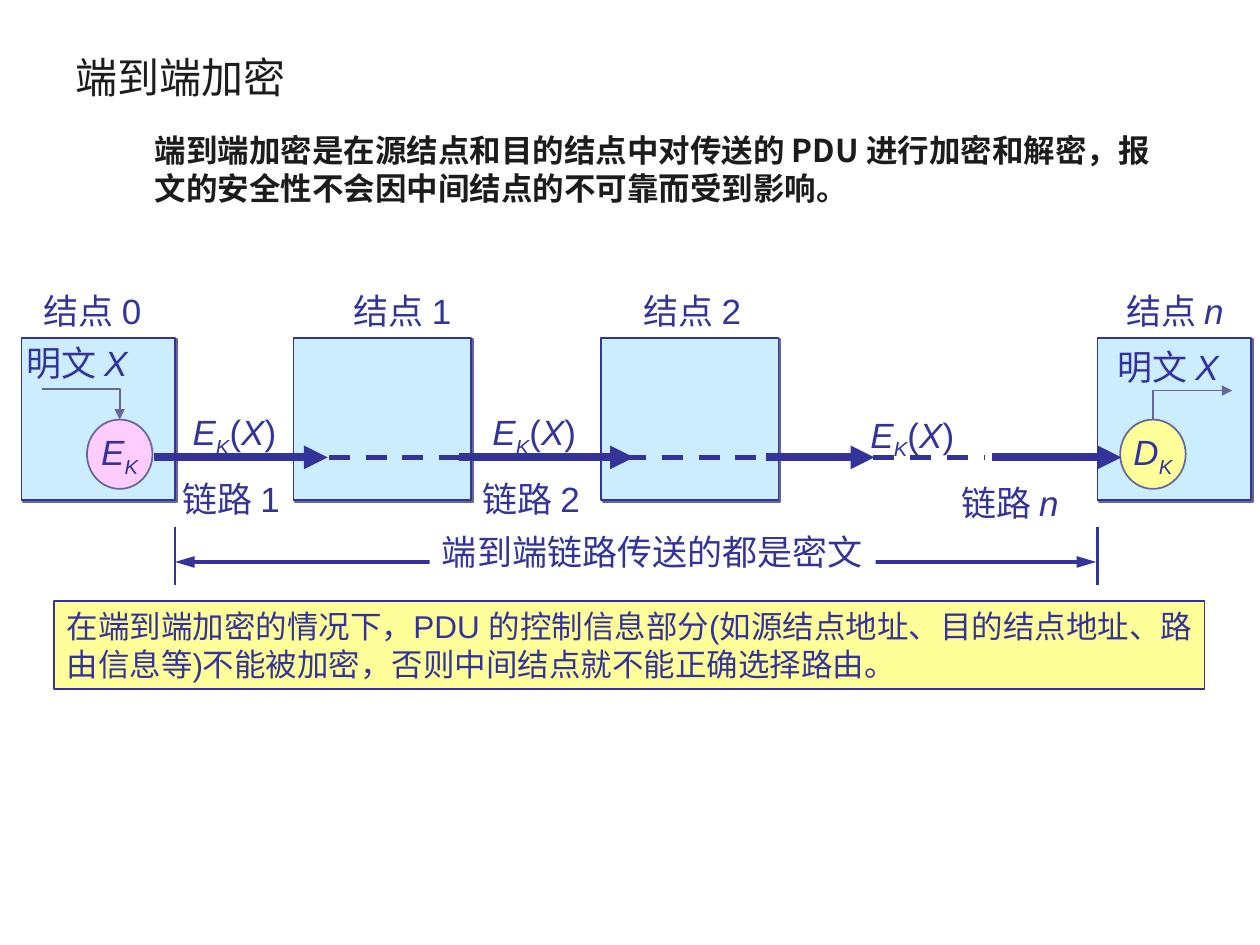
from lxml import etree
from pptx import Presentation
from pptx import util as u
from pptx.dml.color import RGBColor
from pptx.enum import dml, shapes, text
from pptx.oxml import ns

NAVY = RGBColor(0x33, 0x33, 0x99)
SLATE = RGBColor(0x66, 0x66, 0x99)
INK = RGBColor(0x1C, 0x1C, 0x1C)
SKY = RGBColor(0xCC, 0xEC, 0xFF)
PINK = RGBColor(0xFF, 0xCC, 0xFF)
YELLOW = RGBColor(0xFF, 0xFF, 0x99)
WHITE = RGBColor(0xFF, 0xFF, 0xFF)
CJK = "Noto Sans CJK SC"
LATIN = "Arial"
LEFT = text.PP_ALIGN.LEFT
CENTER = text.PP_ALIGN.CENTER
JUSTIFY = text.PP_ALIGN.JUSTIFY
TOP = text.MSO_ANCHOR.TOP
MIDDLE = text.MSO_ANCHOR.MIDDLE
RECT = shapes.MSO_SHAPE.RECTANGLE
OVAL = shapes.MSO_SHAPE.OVAL


def child(parent, tag, **attrs):
    return etree.SubElement(parent, ns.qn(tag), attrs)


class Sketch:
    def __init__(self, slide):
        self.s = slide

    def set_text(self, sp, paragraphs, size=20, font=LATIN, color=NAVY, bold=False,
                 align=LEFT, anchor=TOP, margins=(0.1, 0.05, 0.1, 0.05), spacing=None,
                 indents=(0,)):
        tf = sp.text_frame
        tf.word_wrap = True
        tf.vertical_anchor = anchor
        tf.margin_left, tf.margin_top, tf.margin_right, tf.margin_bottom = map(u.Inches, margins)
        for i, (runs, indent) in enumerate(zip(paragraphs, indents)):
            p = tf.paragraphs[0] if i == 0 else tf.add_paragraph()
            p.alignment = align
            if spacing:
                p.line_spacing = spacing
            if indent:
                p._p.get_or_add_pPr().set("marL", str(u.Inches(indent)))
            for content, style in runs:
                r = p.add_run()
                r.text = content
                f = r.font
                f.size, f.name, f.bold = u.Pt(size), font, bold
                f.italic = style in ("italic", "sub")
                f.color.rgb = color
                rpr = r._r.get_or_add_rPr()
                child(rpr, "a:ea", typeface=CJK)
                if style == "sub":
                    rpr.set("baseline", "-25000")

    def label(self, x, y, w, h, paragraphs, **style):
        sp = self.s.shapes.add_textbox(*map(u.Inches, (x, y, w, h)))
        self.set_text(sp, paragraphs, **style)

    def shape(self, kind, x, y, w, h, fill, line=None, width=1, shadow=False):
        sp = self.s.shapes.add_shape(kind, *map(u.Inches, (x, y, w, h)))
        sp.shadow.inherit = False
        sp.fill.solid()
        sp.fill.fore_color.rgb = fill
        if line is None:
            sp.line.fill.background()
        else:
            sp.line.color.rgb = line
            sp.line.width = u.Pt(width)
        if shadow:
            effects = sp._element.spPr.find(ns.qn("a:effectLst"))
            cast = child(effects, "a:outerShdw", dist=str(u.Pt(1.4)), dir="2700000",
                         algn="ctr", rotWithShape="0")
            child(cast, "a:srgbClr", val=str(SLATE))
        return sp

    def arrowhead(self, line, end, length="med"):
        child(line._get_or_add_ln(), f"a:{end}End", type="triangle", w="med", len=length)

    def line(self, x1, y1, x2, y2, width, ends=(), dash=False, length="med"):
        c = self.s.shapes.add_connector(shapes.MSO_CONNECTOR.STRAIGHT,
                                        *map(u.Inches, (x1, y1, x2, y2)))
        c.line.color.rgb = NAVY
        c.line.width = u.Pt(width)
        if dash:
            c.line.dash_style = dml.MSO_LINE.DASH
        for end in ends:
            self.arrowhead(c.line, end, length)
        child(c._element.spPr, "a:effectLst")

    def elbow(self, points):
        start, *rest = [tuple(map(u.Inches, pt)) for pt in points]
        fb = self.s.shapes.build_freeform(*start)
        fb.add_line_segments(rest, close=False)
        sp = fb.convert_to_shape()
        sp.shadow.inherit = False
        sp.fill.background()
        sp.line.color.rgb = SLATE
        sp.line.width = u.Pt(1)
        self.arrowhead(sp.line, "tail")


def plain(content):
    return [(content, "")]


def main():
    prs = Presentation()
    prs.slide_width, prs.slide_height = u.Inches(10), u.Inches(7.5)
    d = Sketch(prs.slides.add_slide(prs.slide_layouts[6]))

    d.label(0.5, 0.3, 9, 0.61, [plain("端到端加密")], size=24, font=CJK,
            color=INK, anchor=MIDDLE)
    d.label(0.75, 0.99, 8.5, 1.73,
            [plain("端到端加密是在源结点和目的结点中对传送的 PDU 进行加密和解密，"
                   "报文的安全性不会因中间结点的不可靠而受到影响。")],
            size=18, font=CJK, color=INK, bold=True, indents=(0.38,))

    nodes = [
        (0.17, 1.22, 0.25, plain("结点 0")),
        (2.33, 1.41, 2.71, plain("结点 1")),
        (4.77, 1.41, 5.01, plain("结点 2")),
        (8.71, 1.22, 8.84, [("结点 ", ""), ("n", "italic")]),
    ]
    tight = (0.1, 0.05, 0, 0.05)
    for x, w, label_x, name in nodes:
        d.shape(RECT, x, 2.68, w, 1.29, SKY, NAVY, shadow=True)
        d.label(label_x, 2.25, 1.04, 0.44, [name], margins=tight)

    endpoints = [
        (0.69, "E", PINK, 0.11, 2.66, [(0.33, 3.09), (0.95, 3.09), (0.95, 3.33)]),
        (8.89, "D", YELLOW, 8.77, 2.69, [(9.15, 3.33), (9.15, 3.1), (9.78, 3.1)]),
    ]
    for x, letter, fill, text_x, text_y, route in endpoints:
        sp = d.shape(OVAL, x, 3.33, 0.52, 0.55, fill, SLATE)
        d.set_text(sp, [[(letter, "italic"), ("K", "sub")]], align=CENTER,
                   anchor=MIDDLE, margins=(0, 0, 0, 0))
        d.elbow(route)
        d.label(text_x, text_y, 1.07, 0.44, [[("明文 ", ""), ("X", "italic")]], margins=tight)

    for x1, x2 in [(1.22, 2.6), (3.64, 5.03), (6.08, 6.94), (7.87, 8.9)]:
        d.line(x1, 3.63, x2, 3.63, 4.5, ends=("tail",))
    for x1, x2 in [(2.61, 3.86), (4.96, 6.2), (6.93, 7.82)]:
        d.line(x1, 3.63, x2, 3.63, 3, dash=True)

    cipher = [("E", "italic"), ("K", "sub"), ("(", ""), ("X", "italic"), (")", "")]
    links = [
        (1.35, 1.04, 1.14, 1.45, 0, plain("链路 1")),
        (3.73, 1.04, 1.14, 1.45, 0, plain("链路 2")),
        (6.73, 1.98, 1.17, 1.5, 0.8, [("链路 ", ""), ("n", "italic")]),
    ]
    for x, w, h, spacing, indent, name in links:
        d.label(x, 3.04, w, h, [cipher, name], spacing=spacing,
                indents=(0.08, indent), margins=tight)

    d.line(1.39, 4.46, 8.7, 4.46, 2.25, ends=("head", "tail"), length="lg")
    sp = d.shape(RECT, 3.41, 4.16, 3.54, 0.44, WHITE)
    d.set_text(sp, [plain("端到端链路传送的都是密文")], margins=tight)
    for x in (1.39, 8.71):
        d.line(x, 4.18, x, 4.64, 1.5)

    sp = d.shape(RECT, 0.43, 4.77, 9.13, 0.7, YELLOW, NAVY, 0.75)
    d.set_text(sp, [plain("在端到端加密的情况下，PDU 的控制信息部分(如源结点地址、目的结点地址、"
                          "路由信息等)不能被加密，否则中间结点就不能正确选择路由。")],
               size=18, align=JUSTIFY)
    prs.save("out.pptx")


if __name__ == "__main__":
    main()
